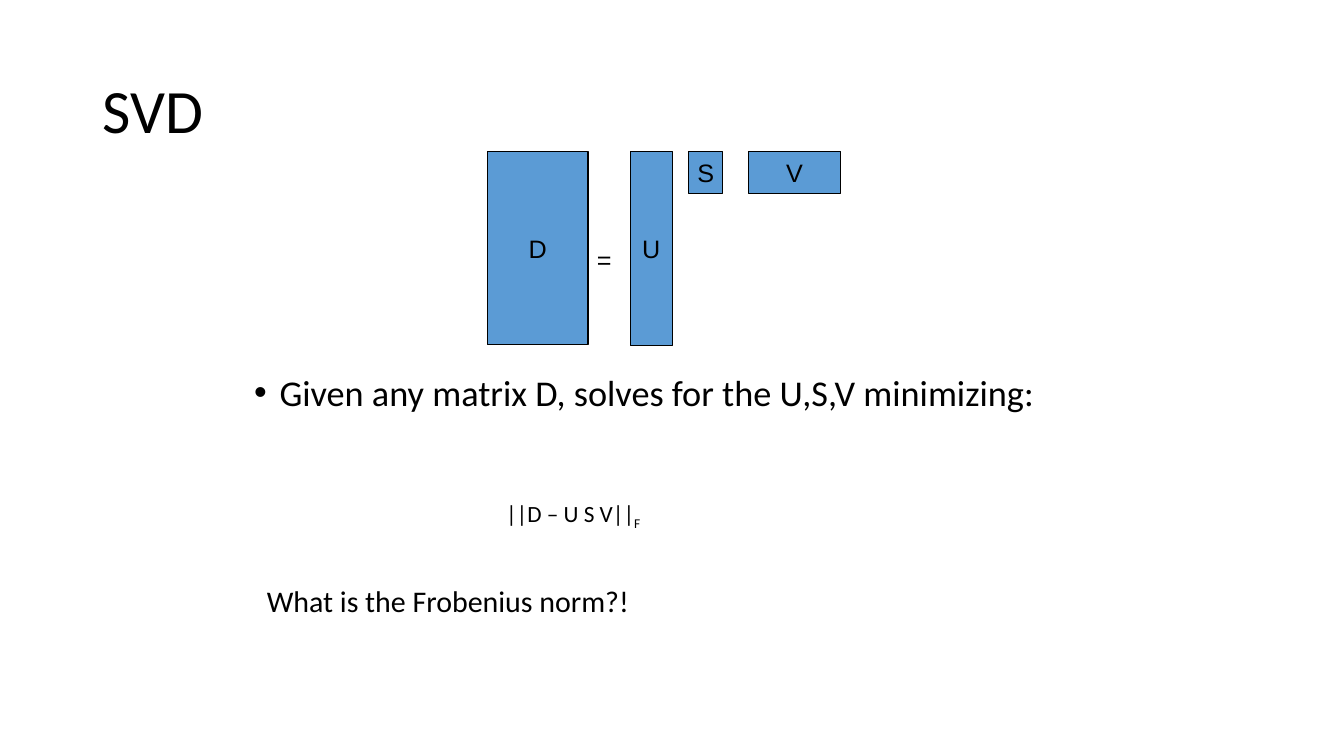
from lxml.etree import SubElement
from pptx import Presentation
from pptx.dml.color import RGBColor
from pptx.enum.shapes import MSO_SHAPE
from pptx.enum.text import MSO_ANCHOR, MSO_AUTO_SIZE, PP_ALIGN
from pptx.oxml.ns import qn
from pptx.util import Cm, Pt

BLACK = "000000"
MATRIX_BLUE = "5B9BD5"
LABEL = {"name": "Arial", "size": Pt(18)}


def color(hex_value):
    """Return the colour for a hex string."""
    return RGBColor.from_string(hex_value)


def set_attributes(target, values):
    """Set each attribute of the target from a dict."""
    for name, value in values.items():
        setattr(target, name, value)


def place(shape, box):
    """Move a shape to a box of left, top, width and height in centimetres."""
    lengths = [Cm(value) for value in box]
    set_attributes(shape, dict(zip(("left", "top", "width", "height"), lengths)))


def add_text(paragraph, text, font_values):
    """Add a black run with the given font values."""
    run = paragraph.add_run()
    run.text = text
    set_attributes(run.font, font_values)
    run.font.color.rgb = color(BLACK)
    return run


def set_bullet(paragraph, margin, indent, character=None):
    """Set the indents and the bullet, or no bullet, of a paragraph."""
    properties = paragraph._p.get_or_add_pPr()
    properties.set("marL", str(Cm(margin)))
    properties.set("indent", str(Cm(indent)))
    if character:
        SubElement(properties, qn("a:buFont")).set("typeface", "Arial")
        SubElement(properties, qn("a:buChar")).set("char", character)
    else:
        SubElement(properties, qn("a:buNone"))


def fill_title(slide, box):
    """Place the title placeholder and write the title."""
    title = slide.shapes.title
    place(title, box)
    frame = title.text_frame
    set_attributes(frame, {"vertical_anchor": MSO_ANCHOR.MIDDLE, "auto_size": MSO_AUTO_SIZE.NONE})
    paragraph = frame.paragraphs[0]
    set_attributes(paragraph, {"alignment": PP_ALIGN.LEFT, "line_spacing": 0.9})
    add_text(paragraph, "SVD", {"name": "Calibri", "size": Pt(44)})


def fill_body(slide, box):
    """Place the body placeholder and write the statement, norm and question."""
    body = slide.placeholders[1]
    place(body, box)
    frame = body.text_frame
    set_attributes(frame, {"word_wrap": True, "auto_size": MSO_AUTO_SIZE.NONE})
    rows = [
        ("Given any matrix D, solves for the U,S,V minimizing:", 25.9, 0, 0, (0.64, -0.64, "•")),
        ("||D – U S V||", 16.6, 61, 5, (6.35, 0)),
        ("What is the Frobenius norm?!", 21.4, 42, 0, (0.32, 0)),
    ]
    for index, (text, size, space, level, bullet) in enumerate(rows):
        paragraph = frame.add_paragraph() if index else frame.paragraphs[0]
        set_bullet(paragraph, *bullet)
        set_attributes(paragraph, {
            "level": level, "alignment": PP_ALIGN.LEFT, "line_spacing": 0.9,
            "space_before": Pt(space), "space_after": Pt(0),
        })
        font_values = {"name": "Calibri", "size": Pt(size)}
        add_text(paragraph, text, font_values)
        if level:
            subscript = add_text(paragraph, "F", font_values)
            subscript.font._element.set("baseline", "-25000")


def add_matrix(slide, label, box):
    """Add one labelled matrix block."""
    matrix = slide.shapes.add_shape(MSO_SHAPE.RECTANGLE, *[Cm(value) for value in box])
    matrix.shadow.inherit = False
    matrix.fill.solid()
    matrix.fill.fore_color.rgb = color(MATRIX_BLUE)
    matrix.line.color.rgb = color(BLACK)
    matrix.line.width = Pt(0.75)
    frame = matrix.text_frame
    set_attributes(frame, {"word_wrap": False, "vertical_anchor": MSO_ANCHOR.MIDDLE})
    frame.paragraphs[0].alignment = PP_ALIGN.CENTER
    add_text(frame.paragraphs[0], label, LABEL)


def add_factorization(slide, left, top):
    """Draw D = U S V from the given corner."""
    blocks = [
        ("D", 0, 2.54, 4.88),
        ("U", 3.6, 1.07, 4.9),
        ("S", 5.08, 0.85, 1.06),
        ("V", 6.58, 2.33, 1.06),
    ]
    for label, offset, width, height in blocks:
        add_matrix(slide, label, (left + offset, top, width, height))
    equals = slide.shapes.add_textbox(Cm(left + 2.51), Cm(top + 2.21), Cm(0.89), Cm(1.02))
    equals.text_frame.word_wrap = False
    add_text(equals.text_frame.paragraphs[0], "=", LABEL)


def build_svd_slide(presentation):
    """Add the slide on the singular value decomposition."""
    slide = presentation.slides.add_slide(presentation.slide_layouts[1])
    fill_title(slide, (2.33, 1.01, 29.21, 3.68))
    fill_body(slide, (6.15, 9.32, 21.59, 6.35))
    add_factorization(slide, 12.28, 3.81)


def main():
    """Build and save the presentation."""
    presentation = Presentation()
    set_attributes(presentation, {"slide_width": Cm(33.87), "slide_height": Cm(19.05)})
    build_svd_slide(presentation)
    presentation.save("out.pptx")


if __name__ == "__main__":
    main()
